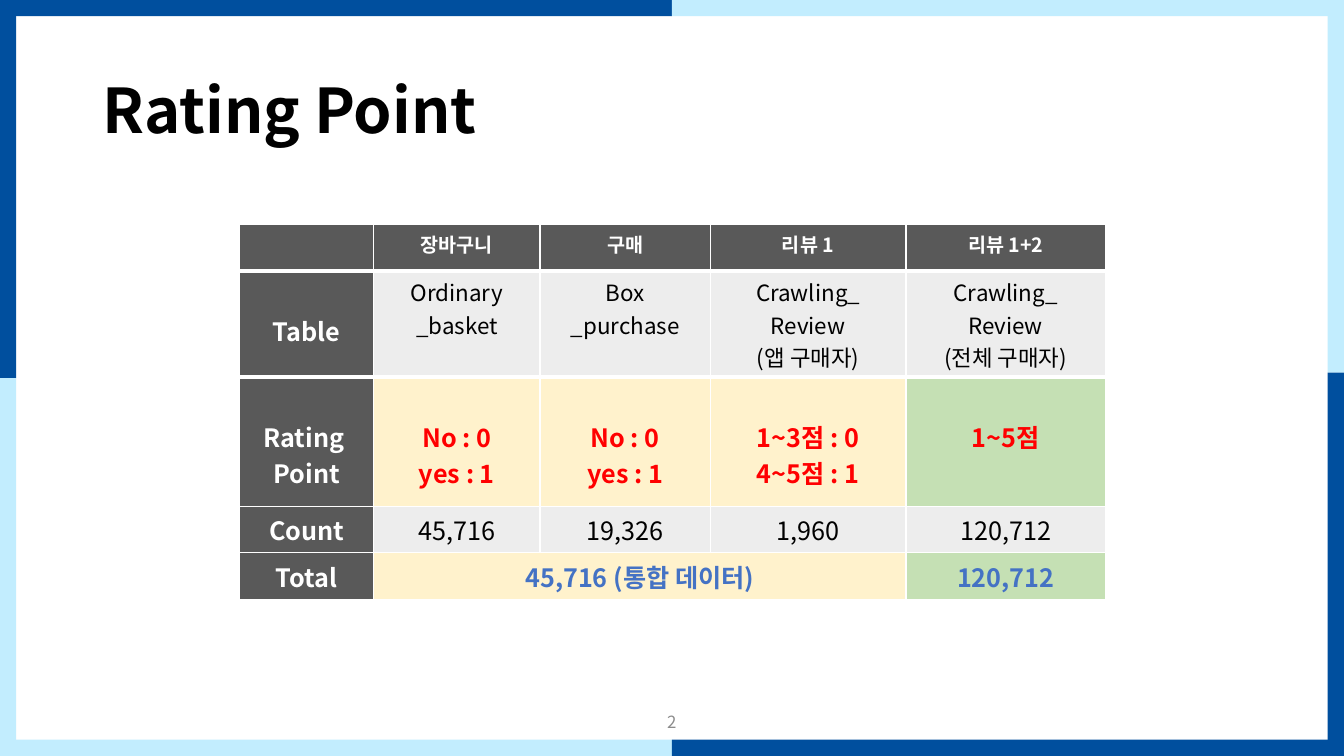
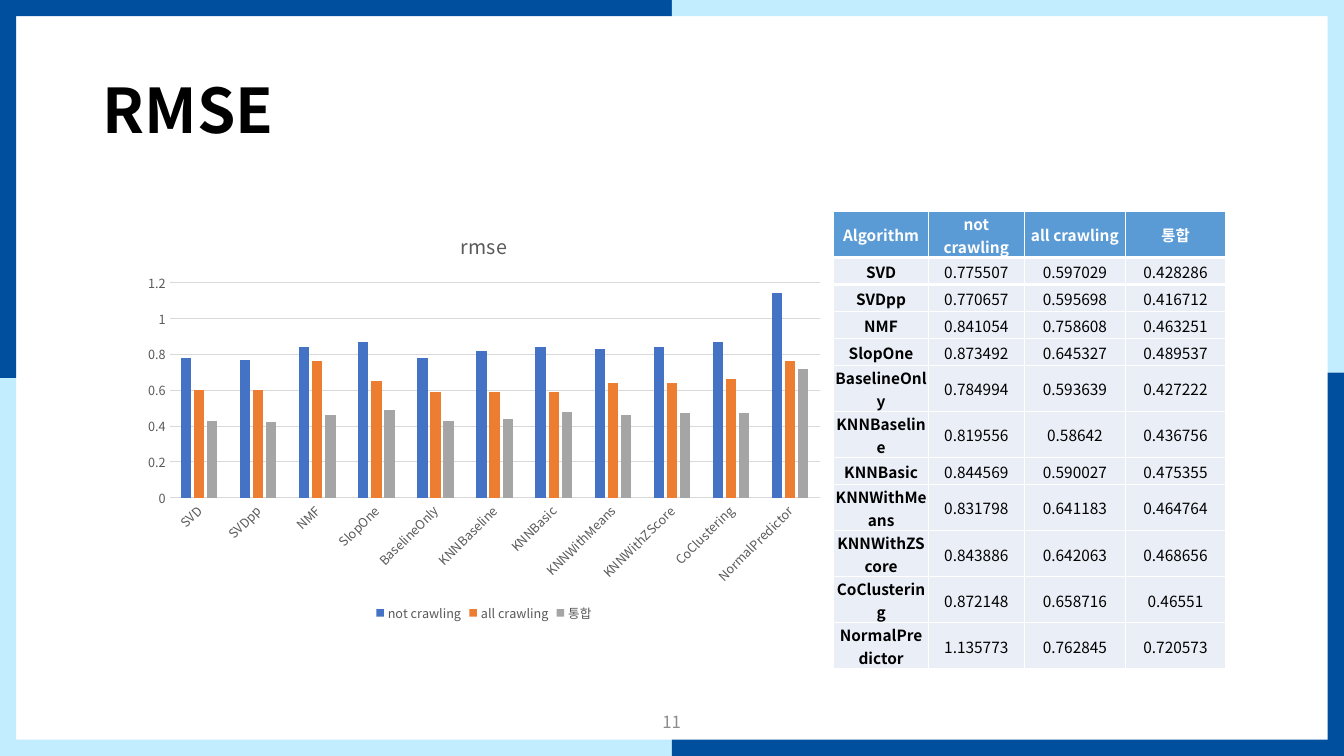
"""Build the rating point and RMSE slides."""
from itertools import product

from lxml.etree import SubElement
from pptx import Presentation
from pptx.chart.data import CategoryChartData
from pptx.dml.color import RGBColor
from pptx.enum.chart import XL_CHART_TYPE as ChartType, XL_LEGEND_POSITION as LegendPos
from pptx.enum.chart import XL_TICK_MARK as Tick
from pptx.enum.shapes import MSO_SHAPE as Shape
from pptx.enum.text import MSO_ANCHOR as Anchor, PP_ALIGN as Align
from pptx.oxml.ns import qn
from pptx.util import Cm, Pt

FONT = "Noto Sans CJK KR"
BLACK = RGBColor(0x00, 0x00, 0x00)
WHITE = RGBColor(0xFF, 0xFF, 0xFF)
NAVY = RGBColor(0x00, 0x4F, 0x9E)
SKY = RGBColor(0xC2, 0xED, 0xFE)
DARK_GRAY = RGBColor(0x59, 0x59, 0x59)
PAGE_GRAY = RGBColor(0x8C, 0x8C, 0x8C)
LINE_GRAY = RGBColor(0xD9, 0xD9, 0xD9)
PALE_GRAY = RGBColor(0xED, 0xED, 0xED)
CREAM = RGBColor(0xFF, 0xF2, 0xCC)
GREEN = RGBColor(0xC5, 0xE0, 0xB4)
RED = RGBColor(0xFF, 0x00, 0x00)
BLUE = RGBColor(0x44, 0x72, 0xC4)
ORANGE = RGBColor(0xED, 0x7D, 0x31)
GRAY = RGBColor(0xA5, 0xA5, 0xA5)
HEAD_BLUE = RGBColor(0x5B, 0x9B, 0xD5)
PALE_BLUE = RGBColor(0xEA, 0xEF, 0xF7)

WIDTH, HEIGHT, BAND = 33.87, 19.05, 0.41
SEAMS = (9.53, 9.39)

RATING_COLS = (3.38, 4.19, 4.29, 4.93, 5.03)
RATING_ROWS = (1.17, 2.67, 3.26, 1.17, 1.17)
RATING = [
    ("", "장바구니", "구매", "리뷰 1", "리뷰 1+2"),
    ("Table", "Ordinary\n_basket", "Box\n_purchase",
     "Crawling_\nReview\n(앱 구매자)", "Crawling_\nReview\n(전체 구매자)"),
    ("Rating \nPoint", "No : 0\nyes : 1", "No : 0\nyes : 1",
     "1~3점 : 0\n4~5점 : 1", "1~5점"),
    ("Count", "45,716", "19,326", "1,960", "120,712"),
    ("Total", "45,716 (통합 데이터)", "", "", "120,712"),
]
RATING_STYLES = [
    dict(size=14, color=WHITE, bold=True, fills=(DARK_GRAY, DARK_GRAY)),
    dict(size=16, color=BLACK, bold=False, fills=(PALE_GRAY, PALE_GRAY)),
    dict(size=18, color=RED, bold=True, fills=(CREAM, GREEN)),
    dict(size=18, color=BLACK, bold=False, fills=(PALE_GRAY, PALE_GRAY)),
    dict(size=18, color=BLUE, bold=True, fills=(CREAM, GREEN)),
]
LINE_DOWN = 1.03
LOWERED = {(1, 0)} | {(2, col) for col in range(5)}

RMSE_COLS = (2.39, 2.41, 2.56, 2.51)
ONE_LINE, TWO_LINES, LONGEST_NAME = 0.68, 1.16, 10
RMSE_HEAD = ("Algorithm", "not crawling", "all crawling", "통합")
RMSE = [
    ("SVD", "0.775507", "0.597029", "0.428286"),
    ("SVDpp", "0.770657", "0.595698", "0.416712"),
    ("NMF", "0.841054", "0.758608", "0.463251"),
    ("SlopOne", "0.873492", "0.645327", "0.489537"),
    ("BaselineOnly", "0.784994", "0.593639", "0.427222"),
    ("KNNBaseline", "0.819556", "0.58642", "0.436756"),
    ("KNNBasic", "0.844569", "0.590027", "0.475355"),
    ("KNNWithMeans", "0.831798", "0.641183", "0.464764"),
    ("KNNWithZScore", "0.843886", "0.642063", "0.468656"),
    ("CoClustering", "0.872148", "0.658716", "0.46551"),
    ("NormalPredictor", "1.135773", "0.762845", "0.720573"),
]
SERIES_COLORS = (BLUE, ORANGE, GRAY)


def set_font(font, size, color, bold=False):
    for name, value in dict(size=Pt(size), bold=bold, name=FONT).items():
        setattr(font, name, value)
    font.color.rgb = color


def write(tf, text, size, color, bold=False, align=Align.CENTER):
    tf.text = text
    for p in tf.paragraphs:
        p.alignment = align
        for r in p.runs:
            set_font(r.font, size, color, bold)
            SubElement(r._r.get_or_add_rPr(), qn("a:ea"), typeface=FONT)


def add_text(s, box, text, *style):
    tf = s.shapes.add_textbox(*map(Cm, box)).text_frame
    tf.word_wrap = True
    tf.vertical_anchor = Anchor.MIDDLE
    write(tf, text, *style)
    return tf


def add_band(s, box, color):
    sp = s.shapes.add_shape(Shape.RECTANGLE, *map(Cm, box))
    sp.shadow.inherit = False
    sp.fill.solid()
    sp.fill.fore_color.rgb = color
    sp.line.fill.background()


def add_page(prs, title, number):
    s = prs.slides.add_slide(prs.slide_layouts[6])
    half = WIDTH / 2
    for right, low in product((0, 1), repeat=2):
        color = NAVY if right == low else SKY
        seam = SEAMS[right]
        add_band(s, (right * half, low * (HEIGHT - BAND), half, BAND), color)
        add_band(s, (right * (WIDTH - BAND), low * seam, BAND,
                     HEIGHT - seam if low else seam), color)
    tf = add_text(s, (2.34, 1.02, 29.21, 3.68), title, 44, BLACK, True, Align.LEFT)
    tf.paragraphs[0].line_spacing = 0.9
    add_text(s, (13.12, 17.68, 7.62, 1.01), str(number), 12, PAGE_GRAY)
    return s


def add_border(cell, side, points):
    tcPr = cell._tc.get_or_add_tcPr()
    ln = SubElement(tcPr, qn(f"a:{side}"), w=str(Pt(points)))
    SubElement(SubElement(ln, qn("a:solidFill")), qn("a:srgbClr"), val=str(WHITE))
    tcPr.insert(0, ln)


def add_grid(s, left, top, widths, heights):
    table = s.shapes.add_table(len(heights), len(widths), Cm(left), Cm(top),
                               Cm(sum(widths)), Cm(sum(heights))).table
    table.horz_banding = False
    for j, width in enumerate(widths):
        table.columns[j].width = Cm(width)
        add_border(table.cell(0, j), "lnB", 3)
        add_border(table.cell(1, j), "lnT", 3)
    for row, height in zip(table.rows, heights):
        row.height = Cm(height)
    return table


def fill_cell(cell, text, fill, *style):
    cell.fill.solid()
    cell.fill.fore_color.rgb = fill
    if text:
        write(cell.text_frame, text, *style)


def add_rating_table(s):
    table = add_grid(s, 6.04, 5.66, RATING_COLS, RATING_ROWS)
    for i, (texts, style) in enumerate(zip(RATING, RATING_STYLES)):
        for j, text in enumerate(texts):
            cell = table.cell(i, j)
            if i and not j:
                fill_cell(cell, text, DARK_GRAY, 18, WHITE, True)
            else:
                fill_cell(cell, text, style["fills"][j == len(texts) - 1],
                          style["size"], style["color"], style["bold"])
            if (i, j) in LOWERED:
                cell.margin_top = Cm(LINE_DOWN)
    table.cell(4, 1).merge(table.cell(4, 3))


def add_rmse_table(s):
    rows = [RMSE_HEAD] + RMSE
    heights = [TWO_LINES] + [TWO_LINES if len(name) > LONGEST_NAME else ONE_LINE
                             for name, *_ in RMSE]
    table = add_grid(s, 21.01, 5.33, RMSE_COLS, heights)
    margins = dict(margin_left=0.03, margin_top=0.03, margin_right=0.03, margin_bottom=0)
    for i, texts in enumerate(rows):
        fill, color = (PALE_BLUE, BLACK) if i else (HEAD_BLUE, WHITE)
        for j, text in enumerate(texts):
            cell = table.cell(i, j)
            fill_cell(cell, text, fill, 11, color, i == 0 or j == 0)
            cell.vertical_anchor = Anchor.MIDDLE
            for name, value in margins.items():
                setattr(cell, name, Cm(value))


def add_rmse_chart(s):
    names, *columns = zip(*RMSE)
    data = CategoryChartData(number_format="General")
    data.categories = names
    for name, values in zip(RMSE_HEAD[1:], columns):
        data.add_series(name, [round(float(v), 2) for v in values])
    box = map(Cm, (3.38, 5.33, 17.63, 10.44))
    chart = s.shapes.add_chart(ChartType.COLUMN_CLUSTERED, *box, data).chart
    set_font(chart.font, 10, BLACK)
    chart.has_title = True
    write(chart.chart_title.text_frame, "rmse", 14, DARK_GRAY)
    chart.chart_title.include_in_layout = False
    chart.has_legend = True
    chart.legend.position = LegendPos.BOTTOM
    chart.legend.include_in_layout = False
    set_font(chart.legend.font, 9, DARK_GRAY)

    plot = chart.plots[0]
    for name, value in dict(gap_width=219, overlap=-27, vary_by_categories=False).items():
        setattr(plot, name, value)
    for series, color in zip(plot.series, SERIES_COLORS):
        series.format.fill.solid()
        series.format.fill.fore_color.rgb = color

    cats, vals = chart.category_axis, chart.value_axis
    for axis in (cats, vals):
        axis.major_tick_mark = axis.minor_tick_mark = Tick.NONE
        set_font(axis.tick_labels.font, 9, DARK_GRAY)
    cats._element.txPr.bodyPr.set("rot", "-2700000")
    for name, value in dict(minimum_scale=0, maximum_scale=1.2, major_unit=0.2).items():
        setattr(vals, name, value)
    vals.format.line.fill.background()
    for line in (cats.format.line, vals.major_gridlines.format.line):
        line.color.rgb = LINE_GRAY
        line.width = Pt(0.75)


def main():
    prs = Presentation()
    prs.slide_width, prs.slide_height = Cm(WIDTH), Cm(HEIGHT)
    add_rating_table(add_page(prs, "Rating Point", 2))
    s = add_page(prs, "RMSE", 11)
    add_rmse_chart(s)
    add_rmse_table(s)
    prs.save("out.pptx")


if __name__ == "__main__":
    main()
